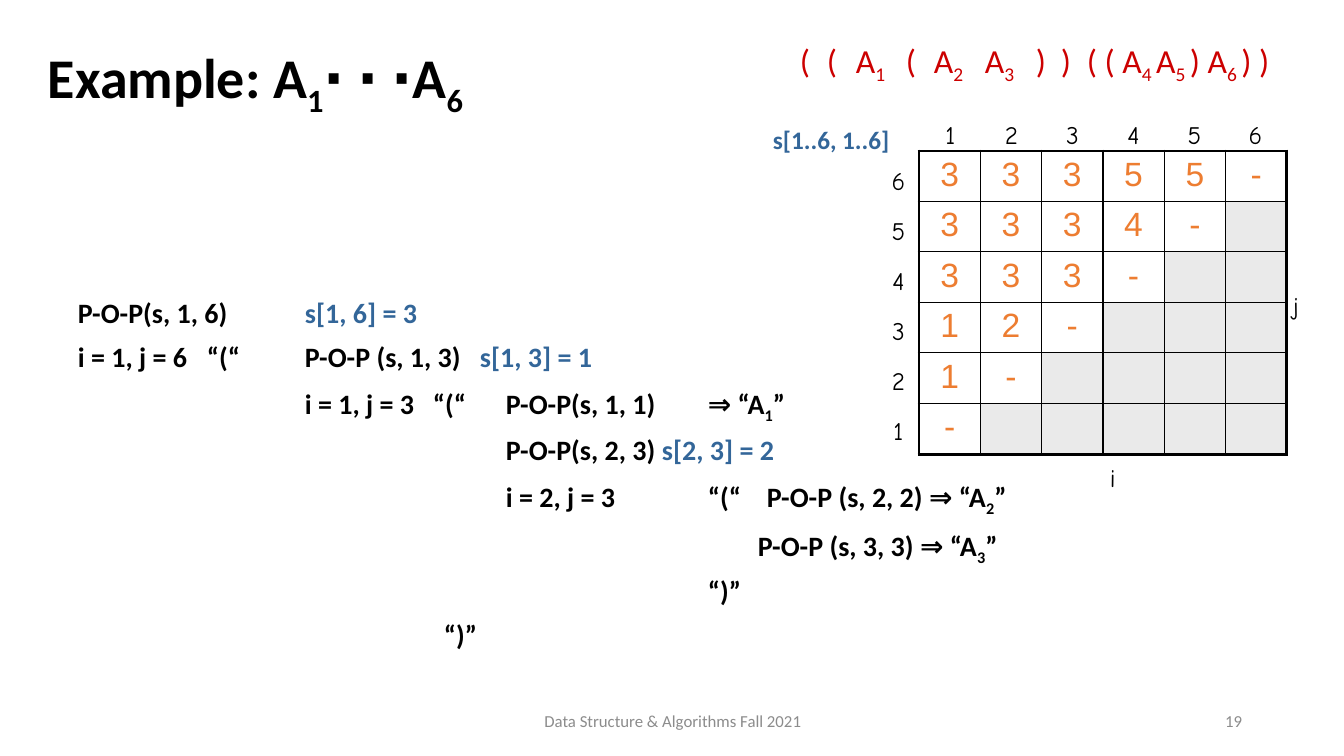
from dataclasses import dataclass
from lxml.etree import SubElement
from pptx import Presentation
from pptx.dml.color import RGBColor as Color
from pptx.enum.text import MSO_ANCHOR as Anchor, PP_ALIGN as Align
from pptx.oxml.ns import qn
from pptx.util import Pt


@dataclass(frozen=True)
class Theme:
    heading_font: str = "Calibri"
    table_font: str = "Arial"
    label_font: str = "Comic Neue"
    ink: str = "000000"
    muted: str = "8C8C8C"
    accent: str = "336699"
    result: str = "CC0000"
    value: str = "ED7D31"
    unused: str = "EAEAEA"
    title_size: int = 40
    large_size: int = 24
    body_size: int = 20
    label_size: int = 18
    footer_size: int = 12
    thin: float = 1
    thick: float = 2.25


def assign(target, values):
    for name, value in values.items():
        setattr(target, name, value)


class SlideBuilder:
    """Draw styled elements on one slide, with lengths in pixels."""

    def __init__(self, presentation, theme, scale):
        self.slide = presentation.slides.add_slide(presentation.slide_layouts[6])
        self.theme = theme
        self.scale = scale

    def lengths(self, *pixels):
        return [round(pixel * self.scale) for pixel in pixels]

    def add_runs(self, paragraph, text, font, size, color, bold=False, **layout):
        assign(paragraph, layout)
        for part_index, part in enumerate(text.split("|")):
            shade = self.theme.accent if part_index % 2 else color
            for piece_index, piece in enumerate(part.split("~")):
                if not piece:
                    continue
                run = paragraph.add_run()
                run.text = piece
                assign(run.font, {"name": font, "size": Pt(size), "bold": bold})
                run.font.color.rgb = Color.from_string(shade)
                if piece_index % 2:
                    run._r.get_or_add_rPr().set("baseline", "-25000")

    def frame(self, box, wrap=False, anchor=Anchor.TOP):
        frame = self.slide.shapes.add_textbox(*self.lengths(*box)).text_frame
        assign(frame, {"word_wrap": wrap, "vertical_anchor": anchor})
        return frame

    def text(self, box, text, *style, wrap=False, anchor=Anchor.TOP, **layout):
        self.add_runs(self.frame(box, wrap, anchor).paragraphs[0], text, *style, **layout)

    def trace(self, box, lines, *style, **layout):
        frame = self.frame(box, wrap=True)
        for index, (stops, text) in enumerate(lines):
            paragraph = frame.add_paragraph() if index else frame.paragraphs[0]
            self.add_runs(paragraph, text, *style, **layout)
            tabs = SubElement(paragraph._p.get_or_add_pPr(), qn("a:tabLst"))
            for position in self.lengths(*stops):
                SubElement(tabs, qn("a:tab"), pos=str(position), algn="l")

    def border(self, cell, side, width):
        line = SubElement(cell._tc.get_or_add_tcPr(), qn(f"a:ln{side}"), w=str(Pt(width)))
        fill = SubElement(line, qn("a:solidFill"))
        SubElement(fill, qn("a:srgbClr"), val=self.theme.ink)

    def split_table(self, box, rows, row_heights):
        theme, last = self.theme, len(rows) - 1
        table = self.slide.shapes.add_table(len(rows), len(rows), *self.lengths(*box)).table
        assign(table, {"first_row": False, "horz_banding": False})
        for column in table.columns:
            column.width = round(box[2] * self.scale / len(rows))
        for row_index, values in enumerate(rows):
            table.rows[row_index].height = self.lengths(row_heights[row_index])[0]
            for column_index in range(len(rows)):
                cell = table.cell(row_index, column_index)
                outer = {"L": column_index == 0, "R": column_index == last,
                         "T": row_index == 0, "B": row_index == last}
                for side, is_outer in outer.items():
                    self.border(cell, side, theme.thick if is_outer else theme.thin)
                if column_index < len(values):
                    cell.fill.background()
                    self.add_runs(cell.text_frame.paragraphs[0], values[column_index],
                                  theme.table_font, theme.large_size, theme.value,
                                  alignment=Align.CENTER)
                else:
                    cell.fill.solid()
                    cell.fill.fore_color.rgb = Color.from_string(theme.unused)


SCALE = 914400 / 100.8
TRACE = [
    ([227], "P-O-P(s, 1, 6)\t|s[1, 6] = 3"),
    ([129, 227, 402], "i = 1, j = 6\t“(“\tP-O-P (s, 1, 3)\t|s[1, 3] = 1"),
    ([227, 355, 428, 630], "\ti = 1, j = 3\t“(“\tP-O-P(s, 1, 1)\t⇒ “A~1~”"),
    ([428], "\tP-O-P(s, 2, 3) |s[2, 3] = 2"),
    ([428, 630, 689], "\ti = 2, j = 3\t“(“\tP-O-P (s, 2, 2) ⇒ “A~2~”"),
    ([680], "\tP-O-P (s, 3, 3) ⇒ “A~3~”"),
    ([630], "\t“)”"),
    ([366], "\t“)”"),
]
PARENTHESES = [(790, 31, "("), (817, 31, "("), (846, 55, "A~1"), (896, 31, "("),
               (924, 55, "A~2"), (975, 55, "A~3"), (1026, 28, ")"), (1051, 31, ")")]

theme = Theme()
presentation = Presentation()
assign(presentation, {"slide_width": round(1344 * SCALE), "slide_height": round(756 * SCALE)})
builder = SlideBuilder(presentation, theme, SCALE)

builder.text((38, 5, 1340, 146), "Example: A~1~⋅ ⋅ ⋅A~6", theme.heading_font,
             theme.title_size, theme.ink, True, wrap=True, anchor=Anchor.MIDDLE,
             line_spacing=0.9)
footer_style = theme.heading_font, theme.footer_size, theme.muted
for left, width, text, alignment in [
        (446, 454, "Data Structure & Algorithms Fall 2021", Align.CENTER),
        (950, 302, "19", Align.RIGHT)]:
    builder.text((left, 701, width, 40), text, *footer_style, wrap=True,
                 anchor=Anchor.MIDDLE, alignment=alignment)

builder.trace((68, 294, 1374, 633), TRACE, theme.heading_font, theme.body_size,
              theme.ink, True, line_spacing=0.9, space_before=Pt(10))
builder.split_table((919, 151, 368, 303), ["33355-", "3334-", "333-", "12-", "1-", "-"],
                    [49] * 5 + [51])

label_style = theme.label_font, theme.label_size, theme.ink
for index in range(6):
    builder.text((933 + 61 * index, 114, 35, 40), str(index + 1), *label_style,
                 alignment=Align.CENTER)
    builder.text((881, 160 + 50 * index, 35, 40), str(6 - index), *label_style,
                 alignment=Align.CENTER)
builder.text((1100, 457, 27, 40), "i", *label_style)
builder.text((1283, 285, 30, 40), "j", *label_style)

result_style = theme.heading_font, theme.large_size, theme.result
for left, width, text in PARENTHESES:
    builder.text((left, 35, width, 50), text, *result_style)
builder.text((1077, 35, 242, 50), "( ( A~4 ~A~5 ~) A~6 ~) )", *result_style, wrap=True)
builder.text((763, 113, 149, 46), "s[1..6, 1..6]", theme.heading_font,
             theme.label_size, theme.accent, True, line_spacing=1.2)

presentation.save("out.pptx")
